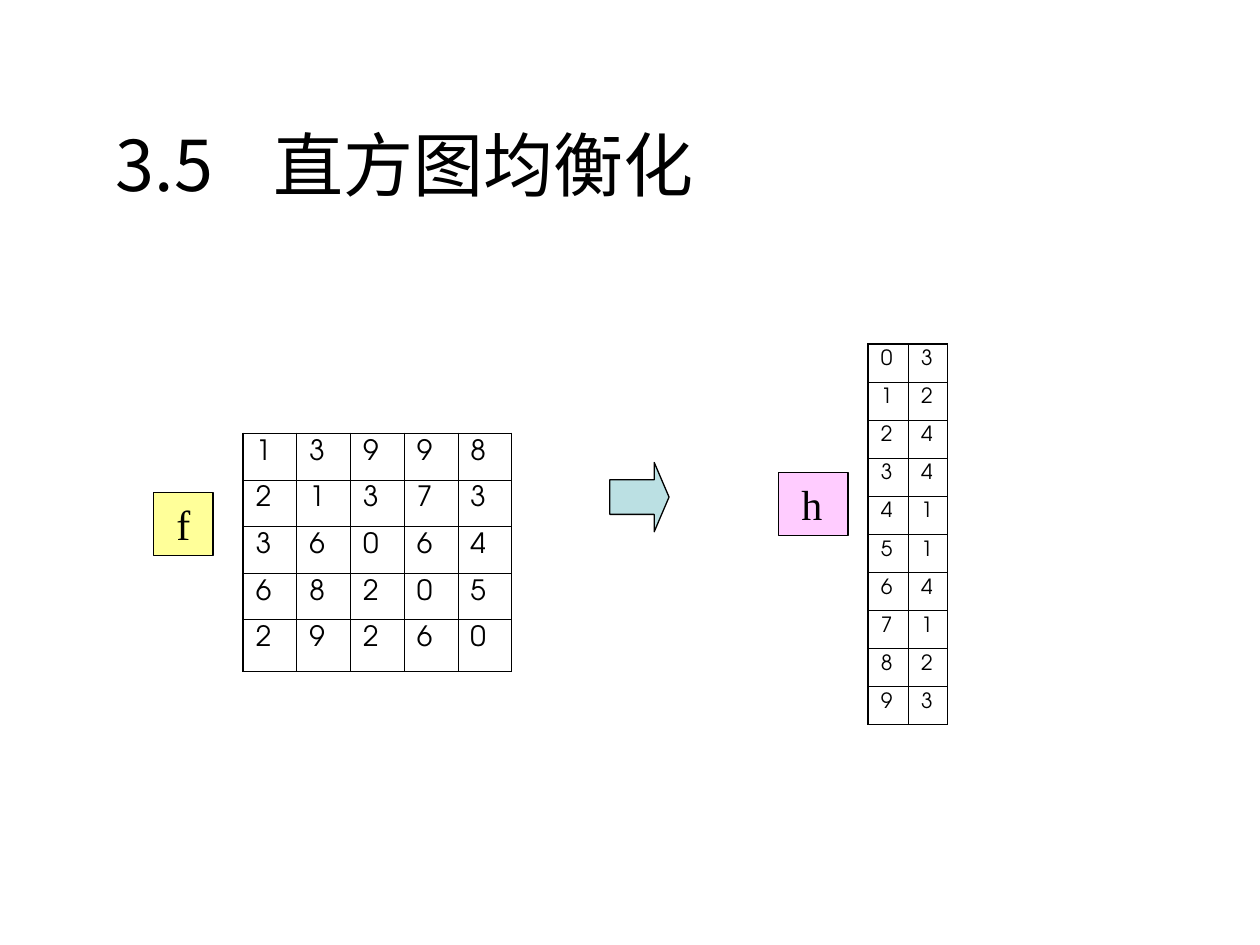
from dataclasses import dataclass

from lxml import etree
from pptx import Presentation, util as u
from pptx.dml.color import RGBColor
from pptx.enum import shapes, text
from pptx.oxml.ns import qn


@dataclass(frozen=True)
class Theme:
    ink: str = "000000"
    yellow: str = "FFFF99"
    pink: str = "FFCCFF"
    teal: str = "BBE0E3"
    title_font: str = "Noto Sans CJK SC"
    table_font: str = "TeX Gyre Adventor"
    label_font: str = "Times New Roman"
    title_size: float = 40
    label_size: float = 24
    matrix_size: float = 16
    histogram_size: float = 12
    outline: float = 0.75
    inner_border: float = 0.45
    outer_border: float = 1.08


class SlideBuilder:
    def __init__(self, s, theme):
        self.s = s
        self.theme = theme

    def format_runs(self, p, font, size):
        for r in p.runs:
            r.font.name = font
            r.font.size = u.Pt(size)
            r.font.color.rgb = RGBColor.from_string(self.theme.ink)
            etree.SubElement(r.font._element, qn("a:ea"), typeface=font)

    def title(self, words, box, tab):
        """Fill the title placeholder; tab is the stop after the section number."""
        sp = self.s.shapes.title
        sp.left, sp.top, sp.width, sp.height = map(u.Inches, box)
        tf = sp.text_frame
        tf.text = words
        tf.word_wrap = True
        tf.auto_size = text.MSO_AUTO_SIZE.NONE
        tf.vertical_anchor = text.MSO_ANCHOR.MIDDLE
        p = tf.paragraphs[0]
        p.alignment = text.PP_ALIGN.LEFT
        stops = etree.SubElement(p._p.get_or_add_pPr(), qn("a:tabLst"))
        etree.SubElement(stops, qn("a:tab"), pos=str(u.Inches(tab)), algn="l")
        self.format_runs(p, self.theme.title_font, self.theme.title_size)

    def shape(self, kind, box, fill):
        sp = self.s.shapes.add_shape(kind, *map(u.Inches, box))
        sp.shadow.inherit = False
        sp.fill.solid()
        sp.fill.fore_color.rgb = RGBColor.from_string(fill)
        sp.line.color.rgb = RGBColor.from_string(self.theme.ink)
        sp.line.width = u.Pt(self.theme.outline)
        return sp

    def arrow(self, box, fill):
        sp = self.shape(shapes.MSO_SHAPE.RIGHT_ARROW, box, fill)
        sp.adjustments[0], sp.adjustments[1] = 0.5, 0.25

    def label(self, words, box, fill):
        tf = self.shape(shapes.MSO_SHAPE.RECTANGLE, box, fill).text_frame
        tf.text = words
        tf.word_wrap = True
        tf.vertical_anchor = text.MSO_ANCHOR.TOP
        tf.margin_left = u.Inches(0.18)
        p = tf.paragraphs[0]
        p.alignment = text.PP_ALIGN.LEFT
        self.format_runs(p, self.theme.label_font, self.theme.label_size)

    def border(self, cell, side, width):
        ln = etree.SubElement(cell._tc.get_or_add_tcPr(), qn(f"a:ln{side}"),
                              w=str(u.Pt(width)))
        fill = etree.SubElement(ln, qn("a:solidFill"))
        etree.SubElement(fill, qn("a:srgbClr"), val=self.theme.ink)

    def table(self, rows, box, widths, heights, size):
        """Draw a grid of values with a heavier outer frame."""
        last_row, last_col = len(rows) - 1, len(rows[0]) - 1
        tbl = self.s.shapes.add_table(len(rows), len(rows[0]),
                                      *map(u.Inches, box)).table
        tbl.first_row = tbl.horz_banding = False
        for column, width in zip(tbl.columns, widths):
            column.width = u.Inches(width)
        for row, height in zip(tbl.rows, heights):
            row.height = u.Inches(height)
        for i, values in enumerate(rows):
            for j, value in enumerate(values):
                cell = tbl.cell(i, j)
                cell.text = str(value)
                self.format_runs(cell.text_frame.paragraphs[0],
                                 self.theme.table_font, size)
                on_frame = {"L": j == 0, "R": j == last_col,
                            "T": i == 0, "B": i == last_row}
                for side, outer in on_frame.items():
                    self.border(cell, side, self.theme.outer_border if outer
                                else self.theme.inner_border)
                cell.fill.background()


def main():
    prs = Presentation()
    prs.slide_width, prs.slide_height = u.Inches(10), u.Inches(7.5)
    theme = Theme()
    slide = SlideBuilder(prs.slides.add_slide(prs.slide_layouts[5]), theme)

    matrix = [[1, 3, 9, 9, 8],
              [2, 1, 3, 7, 3],
              [3, 6, 0, 6, 4],
              [6, 8, 2, 0, 5],
              [2, 9, 2, 6, 0]]
    levels = range(10)
    histogram = [(level, sum(row.count(level) for row in matrix))
                 for level in levels]

    slide.title("3.5\t直方图均衡化", (0.82, 0.98, 5.85, 0.63), tab=1.25)
    slide.table(matrix, (1.93, 3.44, 2.13, 1.89), [2.13 / 5] * 5,
                [0.37] * 4 + [0.41], theme.matrix_size)
    slide.arrow((4.84, 3.67, 0.47, 0.55), theme.teal)
    slide.label("f", (1.22, 3.91, 0.47, 0.5), theme.yellow)
    slide.label("h", (6.18, 3.75, 0.55, 0.5), theme.pink)
    slide.table(histogram, (6.89, 2.73, 0.63, 3.02), [0.32, 0.31],
                [3.02 / 10] * 10, theme.histogram_size)

    prs.save("out.pptx")


if __name__ == "__main__":
    main()
